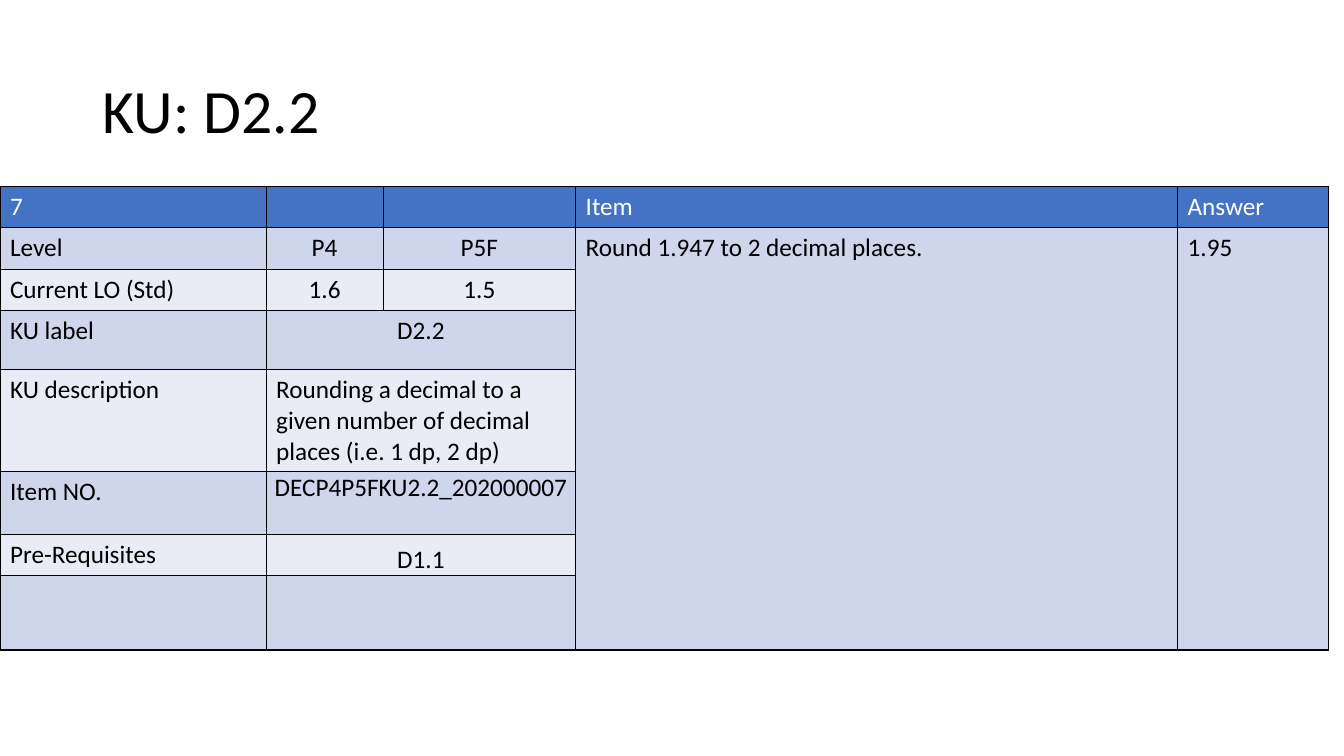
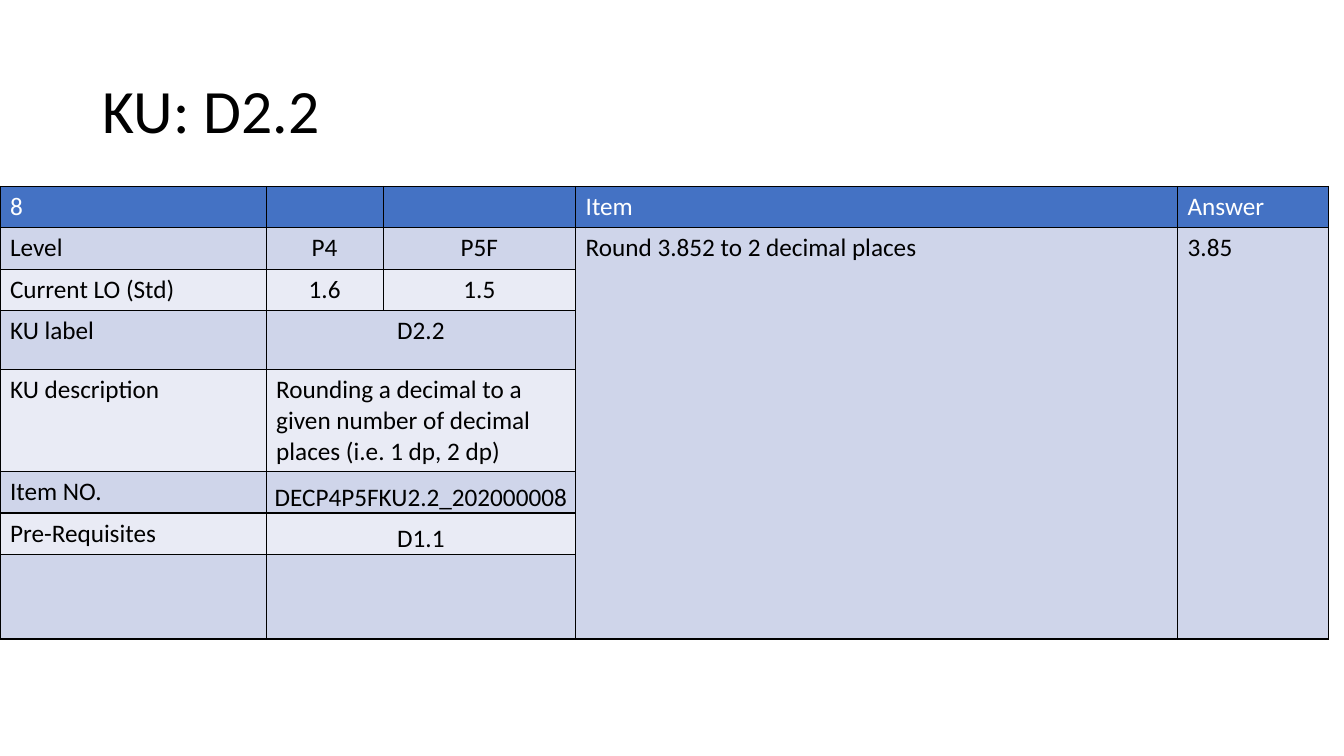
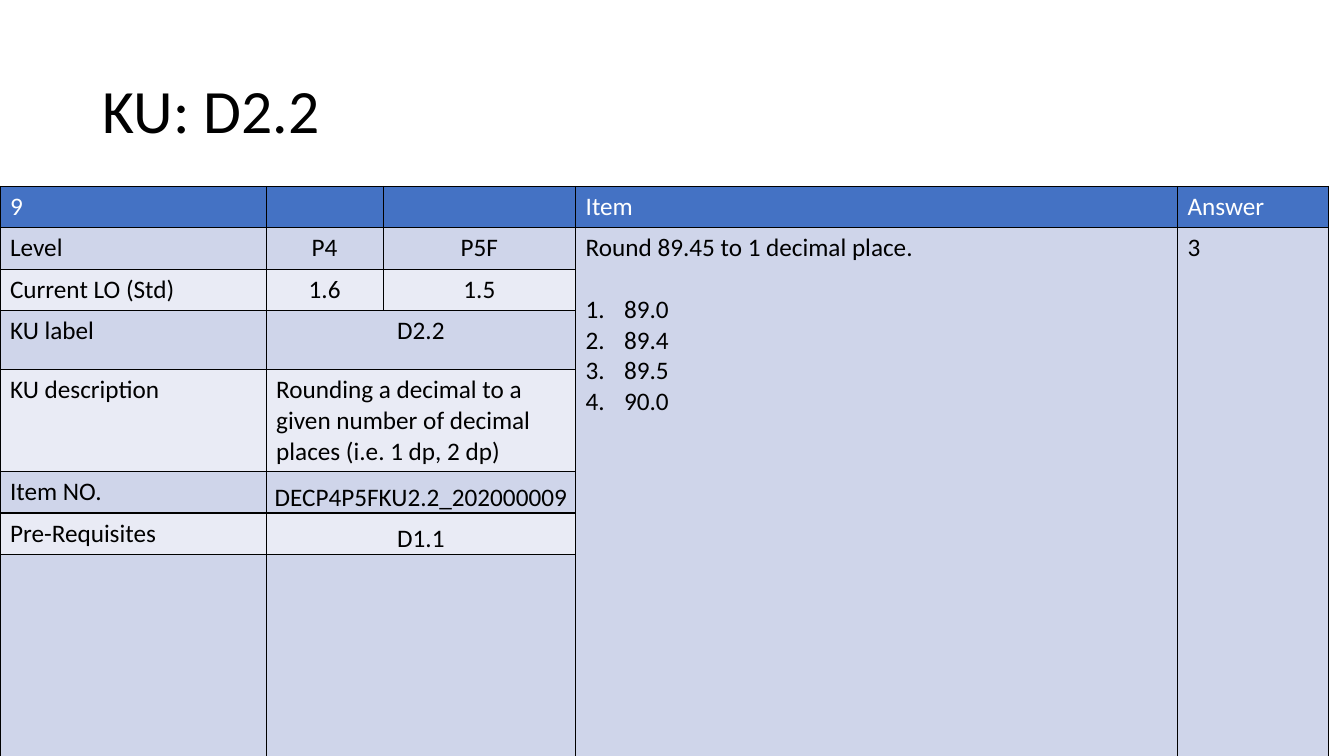
from dataclasses import dataclass

from lxml.etree import SubElement, Element
from pptx import Presentation
from pptx.dml.color import RGBColor
from pptx.enum.text import MSO_ANCHOR as Anchor, PP_ALIGN as Align
from pptx.oxml.ns import qn
from pptx.slide import Slide
from pptx.table import Table, _Cell as Cell
from pptx.util import Inches, Pt

COLORS = {
    "black": "000000",
    "white": "FFFFFF",
    "header": "4472C4",
    "odd": "CFD5EA",
    "even": "E9EBF5",
}
FONT = "Calibri"
TITLE = "KU: D2.2"
COLUMN_WIDTHS = [2.64, 1.16, 1.91, 5.97, 1.5]
TOP_ROW_HEIGHTS = [0.41, 0.41, 0.41, 0.59, 1.01]
DESCRIPTION = "Rounding a decimal to a given number of decimal places (i.e. 1 dp, 2 dp)"
DESCRIPTION_ROW = 4
ITEM_NUMBER_ROW, PREREQUISITE_ROW = 5, 6
TIGHT_ROWS = (ITEM_NUMBER_ROW, PREREQUISITE_ROW)


@dataclass(frozen=True)
class Question:
    number: int
    text: str
    answer: str
    bottom_row_heights: tuple[float, float, float]
    options: tuple[str, ...] = ()
    number_anchor: Anchor = Anchor.BOTTOM


QUESTIONS = [
    Question(7, "Round 1.947 to 2 decimal places.", "1.95",
             (0.62, 0.41, 0.74), number_anchor=Anchor.TOP),
    Question(8, "Round 3.852 to 2 decimal places", "3.85", (0.41, 0.41, 0.84)),
    Question(9, "Round 89.45 to 1 decimal place.", "3", (0.41, 0.41, 2.56),
             options=("89.0", "89.4", "89.5", "90.0")),
]


def table_rows(question: Question) -> list[list[str]]:
    return [
        [str(question.number), "", "", "Item", "Answer"],
        ["Level", "P4", "P5F", "\n".join((question.text, *question.options)), question.answer],
        ["Current LO (Std)", "1.6", "1.5"],
        ["KU label", "D2.2"],
        ["KU description", DESCRIPTION],
        ["Item NO.", f"DECP4P5FKU2.2_2020{question.number:05d}"],
        ["Pre-Requisites", "D1.1"],
        [""],
    ]


def format_runs(paragraph, size: int, color: str) -> None:
    for run in paragraph.runs:
        run.font.name = FONT
        run.font.size = Pt(size)
        run.font.bold = False
        run.font.color.rgb = RGBColor.from_string(COLORS[color])


def add_title(slide: Slide) -> None:
    box = slide.shapes.add_textbox(Inches(0.92), Inches(0.4), Inches(11.5), Inches(1.45))
    text_frame = box.text_frame
    text_frame.word_wrap = True
    text_frame.vertical_anchor = Anchor.MIDDLE
    text_frame.text = TITLE
    paragraph = text_frame.paragraphs[0]
    paragraph.line_spacing = 0.9
    format_runs(paragraph, 44, "black")


def set_borders(cell: Cell) -> None:
    properties = cell._tc.get_or_add_tcPr()
    for position, side in enumerate(("lnL", "lnR", "lnT", "lnB")):
        line = Element(qn(f"a:{side}"), w=str(Pt(1)))
        fill = SubElement(line, qn("a:solidFill"))
        SubElement(fill, qn("a:srgbClr"), val=COLORS["black"])
        properties.insert(position, line)


def number_options(cell: Cell) -> None:
    for index, paragraph in enumerate(cell.text_frame.paragraphs[1:]):
        if index == 0:
            paragraph.space_before = Pt(22)
        properties = paragraph._p.get_or_add_pPr()
        properties.set("marL", str(Inches(0.38)))
        properties.set("indent", str(-Inches(0.38)))
        SubElement(properties, qn("a:buFont"), typeface="+mj-lt")
        SubElement(properties, qn("a:buAutoNum"), type="arabicPeriod")


def fill_cell(cell: Cell, text: str, row: int, column: int) -> None:
    background = "header" if row == 0 else "odd" if row % 2 else "even"
    if column > 2 and row > 0:
        background = "odd"
    cell.fill.solid()
    cell.fill.fore_color.rgb = RGBColor.from_string(COLORS[background])
    set_borders(cell)
    cell.text_frame.text = text
    centered = row > 0 and column in (1, 2) and row != DESCRIPTION_ROW
    for paragraph in cell.text_frame.paragraphs:
        paragraph.alignment = Align.CENTER if centered else Align.LEFT
        format_runs(paragraph, 18, "white" if row == 0 else "black")


def merge_cells(table: Table) -> None:
    last_row = len(table.rows) - 1
    for row in range(3, last_row + 1):
        table.cell(row, 1).merge(table.cell(row, 2))
    for column in (3, 4):
        table.cell(1, column).merge(table.cell(last_row, column))


def add_question_table(slide: Slide, question: Question) -> None:
    rows = table_rows(question)
    heights = [*TOP_ROW_HEIGHTS, *question.bottom_row_heights]
    frame = slide.shapes.add_table(
        len(rows), len(COLUMN_WIDTHS), Inches(0), Inches(1.85),
        Inches(sum(COLUMN_WIDTHS)), Inches(sum(heights)))
    table = frame.table
    for column, width in zip(table.columns, COLUMN_WIDTHS):
        column.width = Inches(width)
    for row, height in zip(table.rows, heights):
        row.height = Inches(height)
    for row_index, texts in enumerate(rows):
        for column_index in range(len(COLUMN_WIDTHS)):
            text = texts[column_index] if column_index < len(texts) else ""
            fill_cell(table.cell(row_index, column_index), text, row_index, column_index)
    for row_index in TIGHT_ROWS:
        cell = table.cell(row_index, 1)
        cell.margin_left = cell.margin_right = cell.margin_top = Inches(0.01)
        cell.margin_bottom = Inches(0)
        cell.vertical_anchor = Anchor.BOTTOM
    table.cell(ITEM_NUMBER_ROW, 1).vertical_anchor = question.number_anchor
    number_options(table.cell(1, 3))
    merge_cells(table)


def main() -> None:
    presentation = Presentation()
    presentation.slide_width = Inches(13.33)
    presentation.slide_height = Inches(7.5)
    for question in QUESTIONS:
        slide = presentation.slides.add_slide(presentation.slide_layouts[6])
        add_title(slide)
        add_question_table(slide, question)
    presentation.save("out.pptx")


main()
